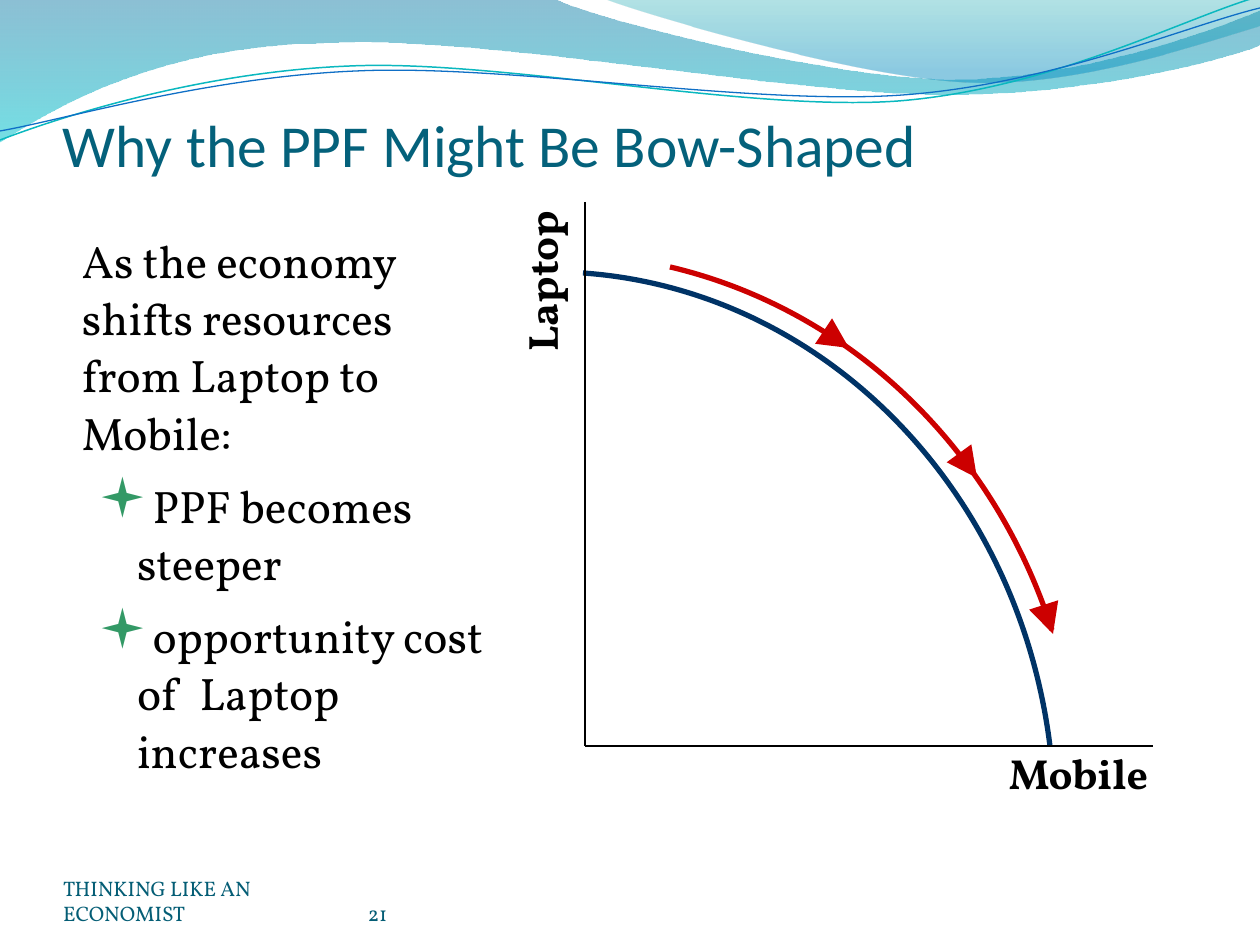
import pptx
import pptx.util
import pptx.dml.color
import pptx.enum.shapes
import pptx.enum.text
import pptx.oxml.ns
import lxml.etree

PX = 914400 / 126
qn = pptx.oxml.ns.qn
ALIGN = pptx.enum.text.PP_ALIGN
ANCHOR = pptx.enum.text.MSO_ANCHOR


def color(code):
    return pptx.dml.color.RGBColor.from_string(code)


def text(box, parts, size, font="Vollkorn", ink="000000", bold=False, align=ALIGN.LEFT,
         anchor=ANCHOR.TOP, inset=(13, 6, 13, 6), turn=0, space=None, before=0):
    shape = slide.shapes.add_textbox(*[round(v * PX) for v in box])
    shape.rotation = turn
    frame = shape.text_frame
    frame.word_wrap = True
    frame.vertical_anchor = anchor
    (frame.margin_left, frame.margin_top,
     frame.margin_right, frame.margin_bottom) = [round(v * PX) for v in inset]
    for i, part in enumerate(parts):
        para = frame.add_paragraph() if i else frame.paragraphs[0]
        para.text = part
        para.alignment = align
        para.line_spacing = space
        if i:
            para.space_before = pptx.util.Pt(before)
        for run in para.runs:
            run.font.size = pptx.util.Pt(size)
            run.font.name = font
            run.font.bold = bold
            run.font.color.rgb = color(ink)
    return frame


prs = pptx.Presentation()
prs.slide_width = round(1260 * PX)
prs.slide_height = round(945 * PX)
slide = prs.slides.add_slide(prs.slide_layouts[6])

# Curves: a step of two numbers is a straight line, one of six a Bezier curve
wave = [(0, 0), (554, -1), (600, 21, 837, 79, 955, 79), (1075, 79, 1207, 33, 1260, 11),
        (1261, 45), (1239, 55, 1096, 96, 940, 94), (784, 94, 481, 35, 324, 43),
        (163, 45, 58, 105, -1, 142), (0, 0)]
crest = [(604, -1), (641, 14, 859, 78, 969, 82), (1079, 87, 1211, 40, 1260, 26),
         (1260, 0), (604, -1)]
teal = [(0, 140), (60, 117, 199, 72, 349, 66), (498, 59, 747, 112, 898, 101),
        (1050, 89, 1182, 19, 1257, -3)]
blue = [(0, 131), (59, 121, 207, 77, 357, 71), (508, 64, 752, 106, 903, 95),
        (1053, 84, 1186, 26, 1260, 8)]
bow = [(583, 273), (823, 290, 1018, 488, 1050, 746)]
shift = [(670, 267), (848, 309, 993, 446, 1052, 630)]

# Each curve: steps, line colour, line width, gradient stops (place, colour, alpha)
curves = [
    (wave, None, 0, [(0, "0074A1", 45), (1, "00C6CF", 55)]),
    (crest, None, 0, [(0, "00A1A9", 30), (0.8, "008BBF", 45)]),
    (teal, "0AB8BF", 0.85, None),
    (blue, "0F6FC6", 0.75, None),
    (bow, "003366", 3, None),
    (shift, "CC0000", 3, None),
]
for steps, ink, width, stops in curves:
    dots = [(round(step[i] * PX), round(step[i + 1] * PX))
            for step in steps for i in range(0, len(step), 2)]
    form = slide.shapes.build_freeform(*dots[0])
    form.add_line_segments(dots[1:], close=bool(stops))
    shape = form.convert_to_shape()
    shape.shadow.inherit = False

    # Join each three points of a Bezier step into one curve
    legs = iter(list(shape._element.spPr.iter(qn("a:lnTo"))))
    for step in steps[1:]:
        leg = next(legs)
        if len(step) == 6:
            bend = lxml.etree.Element(qn("a:cubicBezTo"))
            leg.addprevious(bend)
            for old in (leg, next(legs), next(legs)):
                bend.append(old[0])
                old.getparent().remove(old)

    if stops:
        shape.line.fill.background()
        shape.fill.gradient()
        shape.fill.gradient_angle = 270
        for stop, (place, code, alpha) in zip(shape.fill.gradient_stops, stops):
            stop.position = place
            stop.color.rgb = color(code)
        for node, (place, code, alpha) in zip(shape._element.spPr.iter(qn("a:srgbClr")), stops):
            lxml.etree.SubElement(node, qn("a:alpha"), val=str(alpha * 1000))
    else:
        shape.fill.background()
        shape.line.color.rgb = color(ink)
        shape.line.width = pptx.util.Pt(width)

# Axes and arrowheads along the shift
lines = [
    ((585, 202, 585, 746), "000000", 0.75, False),
    ((585, 746, 1153, 746), "000000", 0.75, False),
    ((828, 334, 849, 348), "CC0000", 3.5, True),
    ((961, 456, 977, 478), "CC0000", 3.5, True),
    ((1045, 609, 1053, 634), "CC0000", 3.5, True),
]
for ends, ink, width, head in lines:
    line = slide.shapes.add_connector(pptx.enum.shapes.MSO_CONNECTOR.STRAIGHT,
                                      *[round(v * PX) for v in ends])
    line.line.color.rgb = color(ink)
    line.line.width = pptx.util.Pt(width)
    if head:
        lxml.etree.SubElement(line.line._get_or_add_ln(), qn("a:tailEnd"),
                              type="triangle", w="lg", len="lg")
    lxml.etree.SubElement(line._element.spPr, qn("a:effectLst"))

# Title, axis names and footer
text((63, 83, 1134, 96), ["Why the PPF Might Be Bow-Shaped"], 34, font="Calibri",
     ink="04617B", anchor=ANCHOR.BOTTOM, inset=(0, 6, 0, 0))
text((876, 742, 285, 64), ["Mobile"], 24, bold=True, align=ALIGN.RIGHT)
text((442, 266, 199, 63), ["Laptop"], 24, bold=True, align=ALIGN.RIGHT, turn=270)
for box, words in [((63, 876, 294, 50), "THINKING LIKE AN ECONOMIST"),
                   ((368, 876, 462, 50), "21")]:
    text(box, [words], 12, ink="045D75", anchor=ANCHOR.BOTTOM, inset=(0, 0, 0, 0))

# Body text with bullets
body = text((69, 224, 437, 595),
            ["As the economy shifts resources \vfrom Laptop to Mobile:",
             "PPF becomes steeper", "opportunity cost of  Laptop increases"],
            26, space=1.05, before=9)
for para in body.paragraphs[1:]:
    para.level = 1
    props = para._p.get_or_add_pPr()
    props.set("marL", str(round(55 * PX)))
    props.set("indent", str(round(-39 * PX)))
    tint = lxml.etree.SubElement(props, qn("a:buClr"))
    lxml.etree.SubElement(tint, qn("a:srgbClr"), val="339966")
    lxml.etree.SubElement(props, qn("a:buSzPct"), val="120000")
    lxml.etree.SubElement(props, qn("a:buFont"), typeface="Wingdings")
    lxml.etree.SubElement(props, qn("a:buChar"), char="▪")

prs.save("out.pptx")
